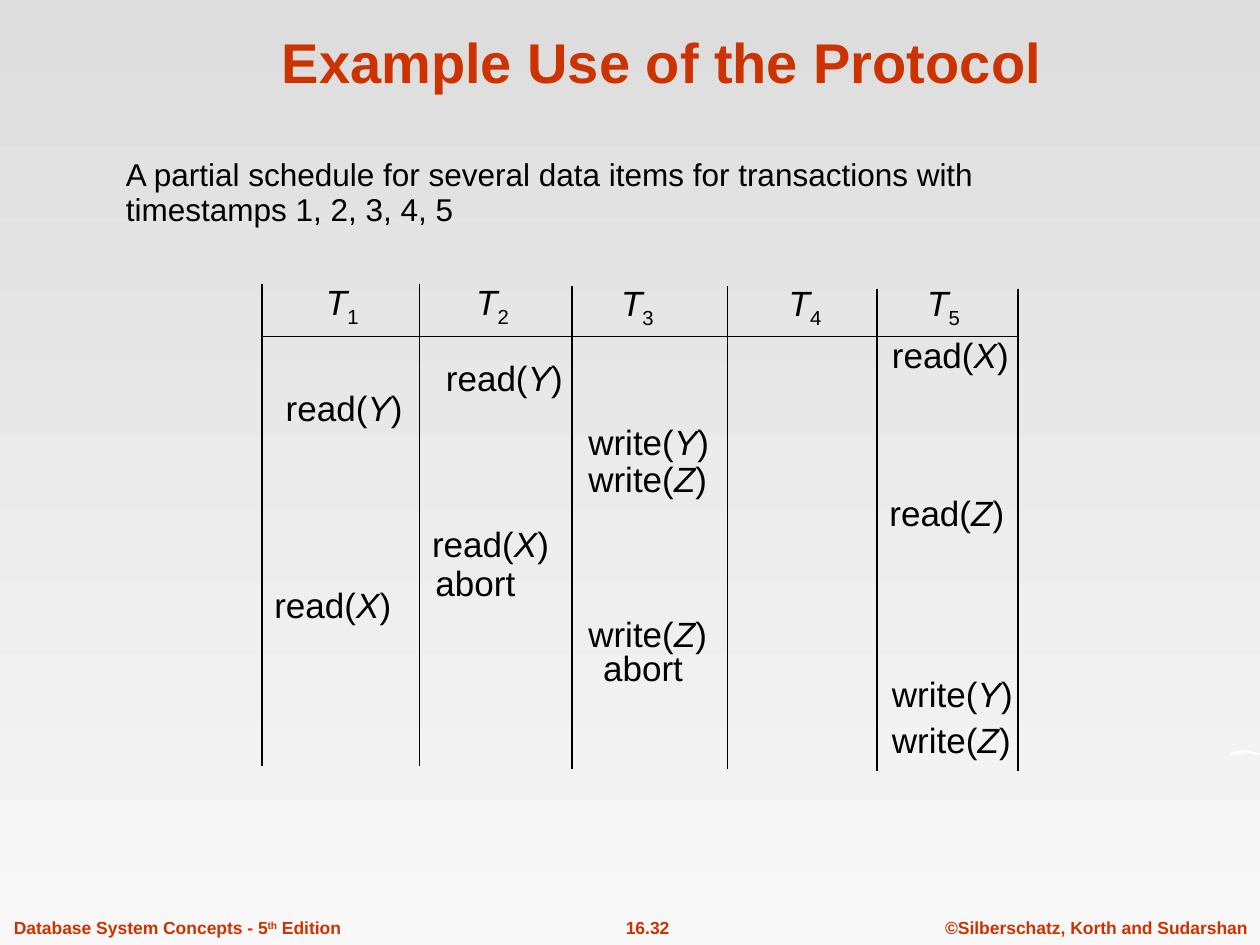
import pptx
import pptx.dml.color
import pptx.enum.shapes
import pptx.enum.text
import pptx.oxml.ns
import pptx.util
from lxml import etree

Cm, Pt = pptx.util.Cm, pptx.util.Pt
RGBColor = pptx.dml.color.RGBColor
PP_ALIGN = pptx.enum.text.PP_ALIGN
MSO_ANCHOR = pptx.enum.text.MSO_ANCHOR

RED = RGBColor(0xCC, 0x33, 0x00)
BLACK = RGBColor(0x00, 0x00, 0x00)
WHITE = RGBColor(0xFF, 0xFF, 0xFF)
GREY_TOP = RGBColor(0xDD, 0xDD, 0xDD)
GREY_BOTTOM = RGBColor(0xF8, 0xF8, 0xF8)

TITLE = {"size": Pt(32), "bold": True, "color": RED}
BODY = {"size": Pt(18), "color": BLACK}
ENTRY = {"size": Pt(20), "color": BLACK}
FOOTER = {"size": Pt(10), "bold": True, "color": RED}
ITALIC = {"italic": True}
SUBSCRIPT = {"baseline": -25000}
SUPERSCRIPT = {"baseline": 30000}


class Deck:
    def __init__(self, s, font="Arial"):
        self.s = s
        self.font = font

    def background(self, top, bottom):
        fill = self.s.background.fill
        fill.gradient()
        fill.gradient_angle = 270
        for stop, color in zip(fill.gradient_stops, (top, bottom)):
            stop.color.rgb = color

    def run(self, p, text, style):
        r = p.add_run()
        r.text = text
        r.font.name = self.font
        for name, value in style.items():
            if name == "color":
                r.font.color.rgb = value
            elif name == "baseline":
                r._r.get_or_add_rPr().set("baseline", str(value))
            else:
                setattr(r.font, name, value)

    def text(self, box, paragraphs, style, align=PP_ALIGN.LEFT, wrap=False,
             anchor=MSO_ANCHOR.TOP, **spacing):
        """Each paragraph is a list of (text, extra style); spacing skips the first."""
        sp = self.s.shapes.add_textbox(*map(Cm, box))
        tf = sp.text_frame
        tf.word_wrap = wrap
        sizes = pptx.enum.text.MSO_AUTO_SIZE
        tf.auto_size = sizes.NONE if wrap else sizes.SHAPE_TO_FIT_TEXT
        tf.vertical_anchor = anchor
        for i, runs in enumerate(paragraphs):
            p = tf.add_paragraph() if i else tf.paragraphs[0]
            p.alignment = align
            if i:
                for name, value in spacing.items():
                    setattr(p, name, value)
            for text, extra in runs:
                self.run(p, text, {**style, **extra})

    def line(self, x1, y1, x2, y2):
        kind = pptx.enum.shapes.MSO_CONNECTOR.STRAIGHT
        c = self.s.shapes.add_connector(kind, Cm(x1), Cm(y1), Cm(x2), Cm(y2))
        c.line.color.rgb = BLACK
        c.line.width = Pt(0.75)
        etree.SubElement(c._element.spPr, pptx.oxml.ns.qn("a:effectLst"))

    def outline(self, points, color):
        """Points are whole hundredths of a centimetre."""
        builder = self.s.shapes.build_freeform(*points[0], scale=Cm(0.01))
        builder.add_line_segments(points[1:], close=True)
        sp = builder.convert_to_shape()
        sp.shadow.inherit = False
        sp.fill.solid()
        sp.fill.fore_color.rgb = color
        sp.line.fill.background()


SWOOSH = [
    (2477, 1526), (2479, 1519), (2487, 1516), (2497, 1513),
    (2510, 1512), (2520, 1515), (2530, 1517), (2540, 1519),
    (2536, 1522), (2522, 1519), (2510, 1517), (2509, 1523),
    (2502, 1517), (2501, 1523), (2495, 1517), (2496, 1523),
    (2489, 1518), (2481, 1523),
]

FOOTERS = [  # left, width, alignment, runs
    (18.8, 6.6, PP_ALIGN.CENTER, [("©Silberschatz, Korth and Sudarshan", {})]),
    (11.71, 2.69, PP_ALIGN.CENTER, [("16.32", {})]),
    (0.03, 7.6, PP_ALIGN.LEFT, [("Database System Concepts - 5", {}),
                                ("th", SUPERSCRIPT), (" Edition", {})]),
]

RULES = [(5.28, 5.72), (8.46, 5.72), (11.53, 5.77),
         (14.66, 5.77), (17.68, 5.82), (20.52, 5.82)]
RULE_LENGTH = 9.73
HEADER_RULE_Y = 6.78

HEADERS = [(6.32, 5.54), (9.35, 5.54), (12.27, 5.56), (15.65, 5.56), (18.44, 5.56)]

OPERATIONS = [  # action, data item, left, top, width
    ("read", "Y", 8.74, 7.06, 2.87),
    ("read", "X", 17.73, 6.6, 3.05),
    ("read", "Y", 5.51, 7.67, 2.87),
    ("write", "Y", 11.61, 8.36, 3.12),
    ("write", "Z", 11.61, 9.09, 3.1),
    ("read", "Z", 17.68, 9.78, 3.02),
    ("read", "X", 8.46, 10.41, 3.05),
    ("abort", None, 8.53, 11.2, 2.51),
    ("read", "X", 5.28, 11.63, 3.05),
    ("write", "Z", 11.61, 12.22, 3.1),
    ("abort", None, 11.91, 12.9, 2.51),
    ("write", "Y", 17.73, 13.44, 3.12),
    ("write", "Z", 17.73, 14.35, 3.3),
]


def main():
    prs = pptx.Presentation()
    prs.slide_width, prs.slide_height = Cm(25.4), Cm(19.05)
    deck = Deck(prs.slides.add_slide(prs.slide_layouts[6]))
    deck.background(GREY_TOP, GREY_BOTTOM)

    for left, width, align, runs in FOOTERS:
        deck.text((left, 18.36, width, 0.69), [runs], FOOTER, align)
    deck.outline(SWOOSH, WHITE)

    deck.text((2.13, 0.33, 22.43, 1.7), [[("Example Use of the Protocol", {})]],
              TITLE, PP_ALIGN.CENTER, wrap=True, anchor=MSO_ANCHOR.BOTTOM)
    deck.text((2.29, 3, 22.76, 13.54),
              [[("A partial schedule for several data items for transactions with", {})],
               [("timestamps 1, 2, 3, 4, 5", {})]],
              BODY, wrap=True, space_before=Pt(7.9), line_spacing=0.5)

    for x, top in RULES:
        deck.line(x, top, x, top + RULE_LENGTH)
    deck.line(RULES[0][0], HEADER_RULE_Y, RULES[-1][0], HEADER_RULE_Y)

    for number, (left, top) in enumerate(HEADERS, 1):
        deck.text((left, top, 1.17, 1.22),
                  [[("T", ITALIC), (str(number), SUBSCRIPT)]], ENTRY)
    for action, item, left, top, width in OPERATIONS:
        runs = [(action + "(", {}), (item, ITALIC), (")", {})] if item else [(action, {})]
        deck.text((left, top, width, 1.12), [runs], ENTRY)

    prs.save("out.pptx")


if __name__ == "__main__":
    main()
